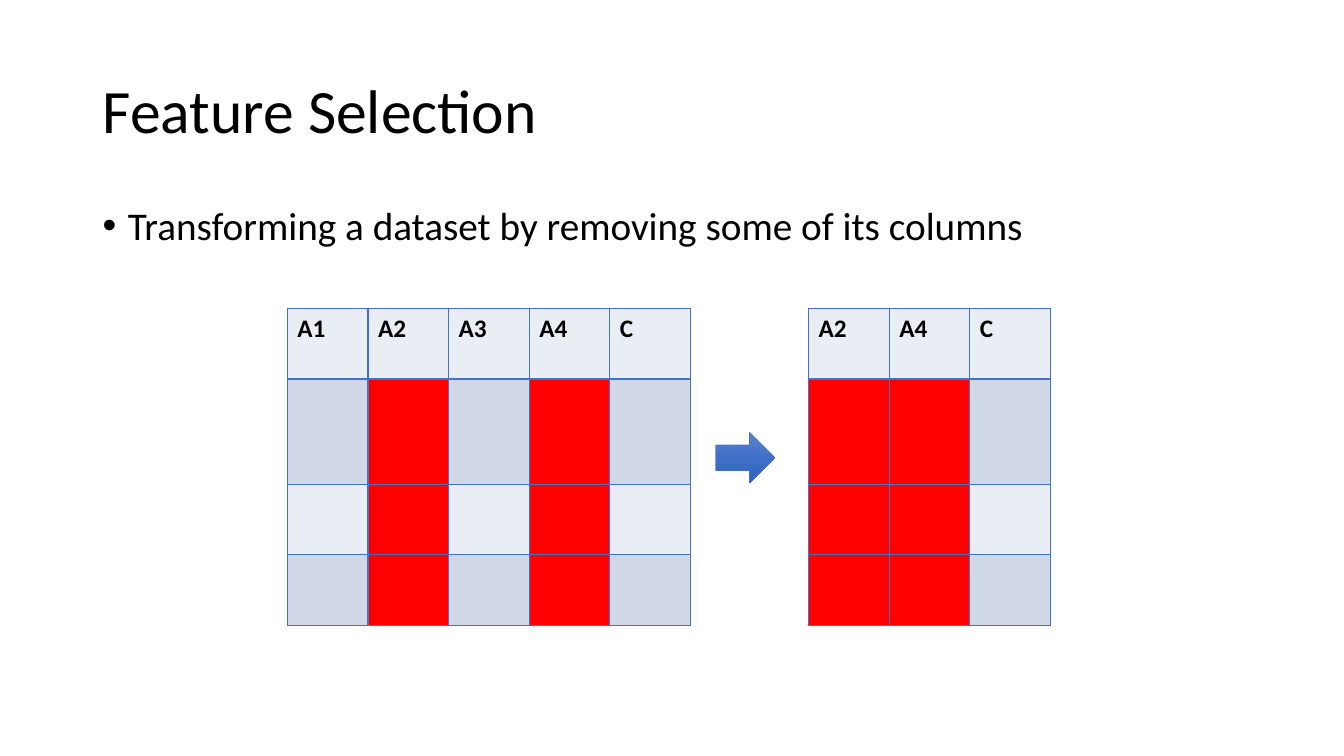
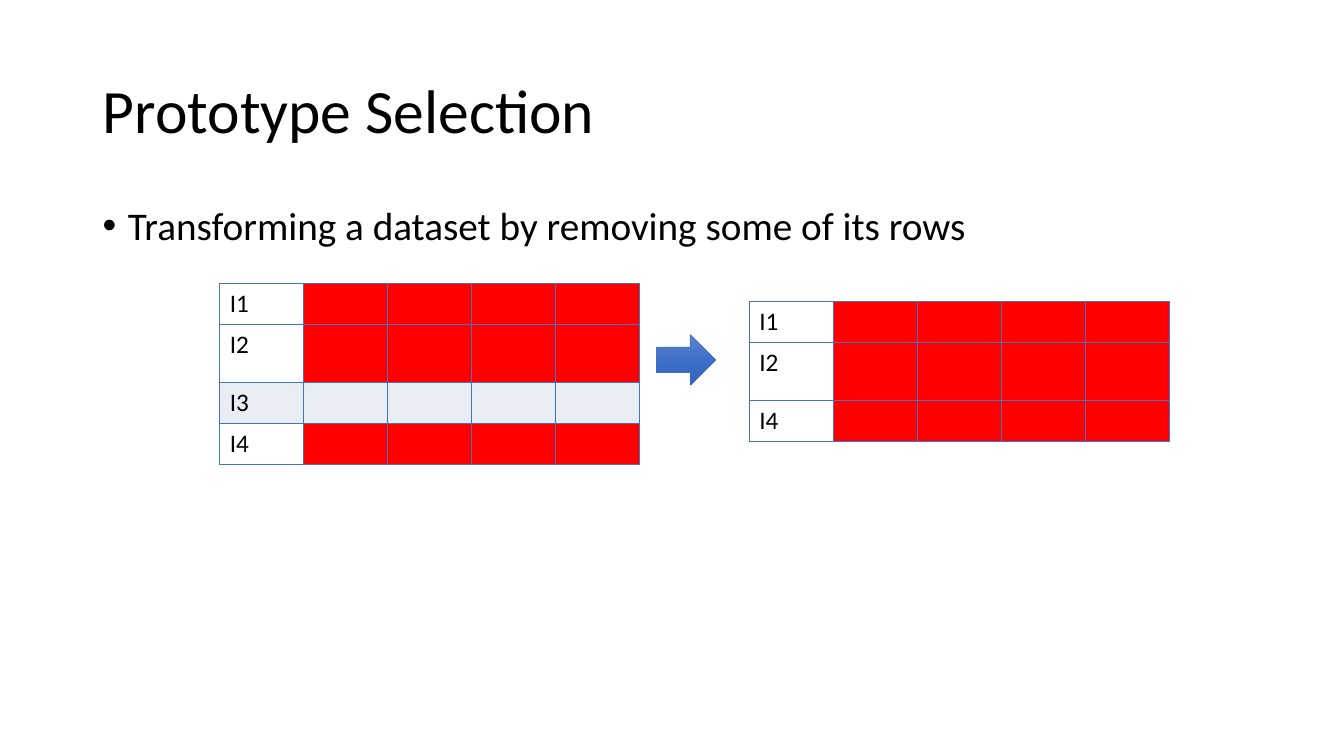
import copy
import dataclasses
import pptx
import pptx.util
import pptx.dml.color
import pptx.enum.shapes
import pptx.enum.text
import pptx.oxml
import pptx.oxml.ns


@dataclasses.dataclass(frozen=True)
class Theme:
    font: str = "Calibri"
    ink: str = "000000"
    paper: str = "FFFFFF"
    edge: str = "4472C4"
    keep: str = "FF0000"
    pale: str = "E9EDF4"
    band: str = "D0D8E8"
    blend: tuple = ((0, "6183CB"), (0.5, "3E70CA"), (1, "3062BB"))
    head: int = 44
    body: int = 28
    cell: int = 18
    lead: float = 0.9
    gap: int = 10
    rule: float = 1
    thin: float = 0.5


def tint(code):
    return pptx.dml.color.RGBColor.from_string(code)


class Deck:
    def __init__(self, theme):
        self.theme = theme
        self.file = pptx.Presentation()
        self.file.slide_width = pptx.util.Inches(13.33)
        self.file.slide_height = pptx.util.Inches(7.5)
        self.slide = None

    def wide(self, share):
        return round(self.file.slide_width * share / 100)

    def high(self, share):
        return round(self.file.slide_height * share / 100)

    def area(self, x, y, w, h):
        return self.wide(x), self.high(y), self.wide(w), self.high(h)

    def word(self, para, text, size, bold=False):
        run = para.add_run()
        run.text = text
        font = run.font
        font.name = self.theme.font
        font.size = pptx.util.Pt(size)
        font.bold = bold
        font.color.rgb = tint(self.theme.ink)

    def page(self, text):
        self.slide = self.file.slides.add_slide(self.file.slide_layouts[5])
        back = self.slide.background.fill
        back.solid()
        back.fore_color.rgb = tint(self.theme.paper)
        title = self.slide.shapes.title
        title.left, title.top, title.width, title.height = self.area(6.9, 5.33, 86.25, 19.33)
        frame = title.text_frame
        frame.auto_size = pptx.enum.text.MSO_AUTO_SIZE.NONE
        frame.vertical_anchor = pptx.enum.text.MSO_ANCHOR.MIDDLE
        para = frame.paragraphs[0]
        para.alignment = pptx.enum.text.PP_ALIGN.LEFT
        para.line_spacing = self.theme.lead
        self.word(para, text, self.theme.head)

    def point(self, text):
        box = self.slide.shapes.add_textbox(*self.area(6.9, 26.67, 86.25, 63.47))
        frame = box.text_frame
        frame.word_wrap = True
        para = frame.paragraphs[0]
        para.line_spacing = self.theme.lead
        para.space_before = pptx.util.Pt(self.theme.gap)
        props = para._p.get_or_add_pPr()
        dent = pptx.util.Inches(0.25)
        props.set("marL", str(dent))
        props.set("indent", str(-dent))
        for tag, key, value in (("buFont", "typeface", "Arial"), ("buChar", "char", "•")):
            mark = pptx.oxml.ns.qn("a:" + tag)
            props.append(props.makeelement(mark, {key: value}))
        self.word(para, text, self.theme.body)

    def arrow(self, x, y):
        kind = pptx.enum.shapes.MSO_SHAPE.RIGHT_ARROW
        shape = self.slide.shapes.add_shape(kind, *self.area(x, y, 4.4, 6.7))
        shape.shadow.inherit = False
        fill = shape.fill
        fill.gradient()
        fill.gradient_angle = 270
        stops = shape._element.spPr.find(".//" + pptx.oxml.ns.qn("a:gsLst"))
        stops.insert(1, copy.deepcopy(stops[0]))
        for stop, (place, code) in zip(fill.gradient_stops, self.theme.blend):
            stop.position = place
            stop.color.rgb = tint(code)
        shape.line.color.rgb = tint(self.theme.edge)
        shape.line.width = pptx.util.Pt(self.theme.thin)

    def frame(self, cell):
        props = cell._tc.get_or_add_tcPr()
        width = pptx.util.Pt(self.theme.rule)
        space = pptx.oxml.ns.nsdecls("a")
        for side in "LRTB":
            props.append(pptx.oxml.parse_xml(
                f'<a:ln{side} {space} w="{width}"><a:solidFill>'
                f'<a:srgbClr val="{self.theme.edge}"/></a:solidFill></a:ln{side}>'))

    def table(self, x, y, col, rows, cells, bold=False):
        count = len(cells[0])
        spot = self.area(x, y, col * count, sum(rows))
        grid = self.slide.shapes.add_table(len(rows), count, *spot).table
        grid.first_row = grid.horz_banding = False
        for item in grid.columns:
            item.width = self.wide(col)
        for item, size in zip(grid.rows, rows):
            item.height = self.high(size)
        for r, line in enumerate(cells):
            for c, (text, code) in enumerate(line):
                cell = grid.cell(r, c)
                self.frame(cell)
                if code:
                    cell.fill.solid()
                    cell.fill.fore_color.rgb = tint(code)
                else:
                    cell.fill.background()
                if text:
                    self.word(cell.text_frame.paragraphs[0], text, self.theme.cell, bold)

    def fields(self, x, y, names):
        look = self.theme
        cells = [[(name, look.pale) for name in names]]
        for shade in (look.band, look.pale, look.band):
            cells.append([("", look.keep if name in ("A2", "A4") else shade) for name in names])
        self.table(x, y, 6, (9.33, 13.93, 9.33, 9.33), cells, True)

    def items(self, x, y, names):
        look = self.theme
        cells = []
        for name in names:
            lost = name == "I3"
            first = (name, look.pale if lost else None)
            cells.append([first] + [("", look.pale if lost else look.keep)] * 4)
        rows = [7.67 if name == "I2" else 5.42 for name in names]
        self.table(x, y, 6.25, rows, cells)


def main():
    deck = Deck(Theme())
    deck.page("Feature Selection")
    deck.point("Transforming a dataset by removing some of its columns")
    deck.fields(21.38, 40.8, ("A1", "A2", "A3", "A4", "C"))
    deck.arrow(53.26, 57.2)
    deck.fields(60.16, 40.8, ("A2", "A4", "C"))

    deck.page("Prototype Selection")
    deck.point("Transforming a dataset by removing some of its rows")
    deck.arrow(48.84, 44.27)
    deck.items(16.35, 37.47, ("I1", "I2", "I3", "I4"))
    deck.items(55.74, 39.87, ("I1", "I2", "I4"))
    deck.file.save("out.pptx")


if __name__ == "__main__":
    main()
